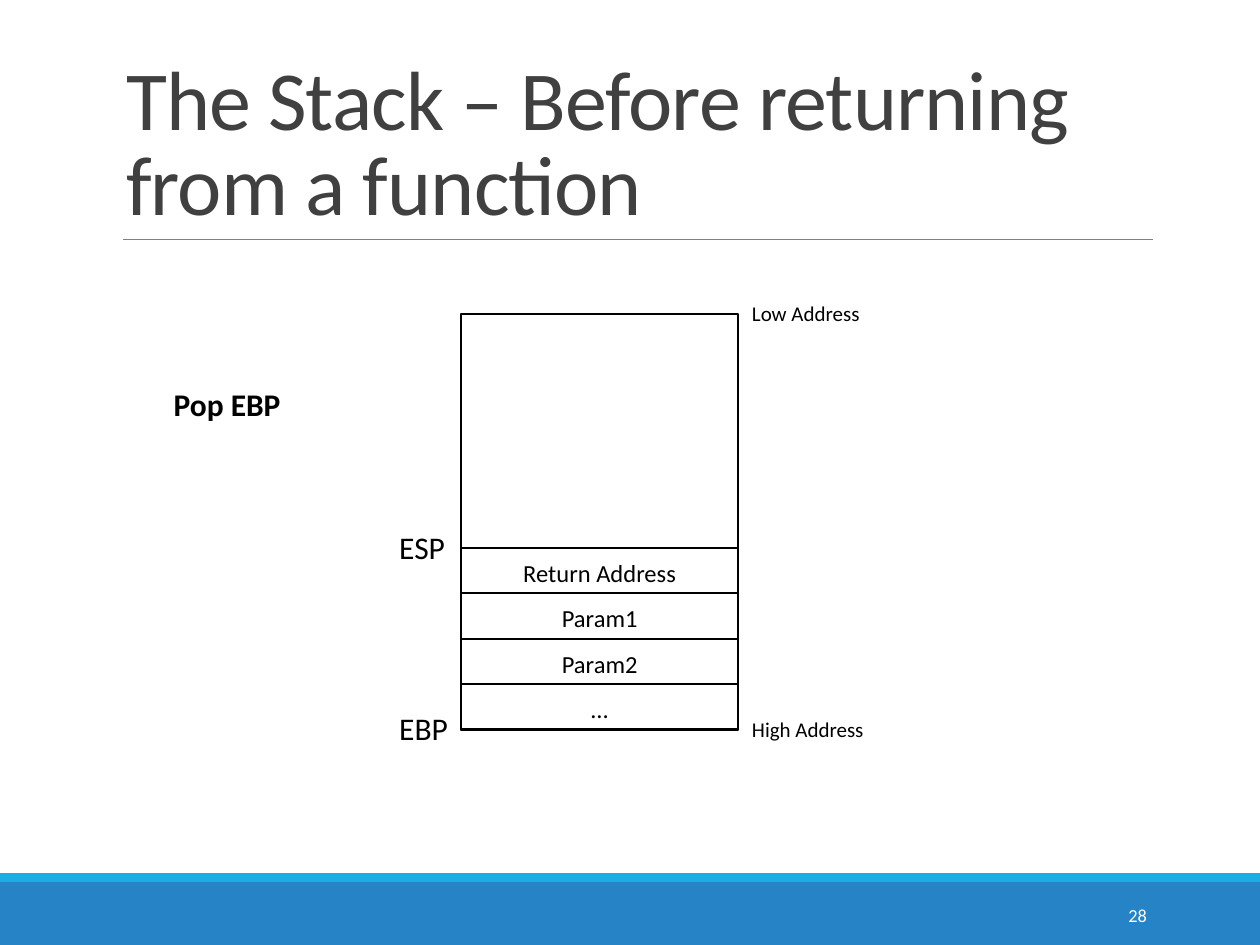
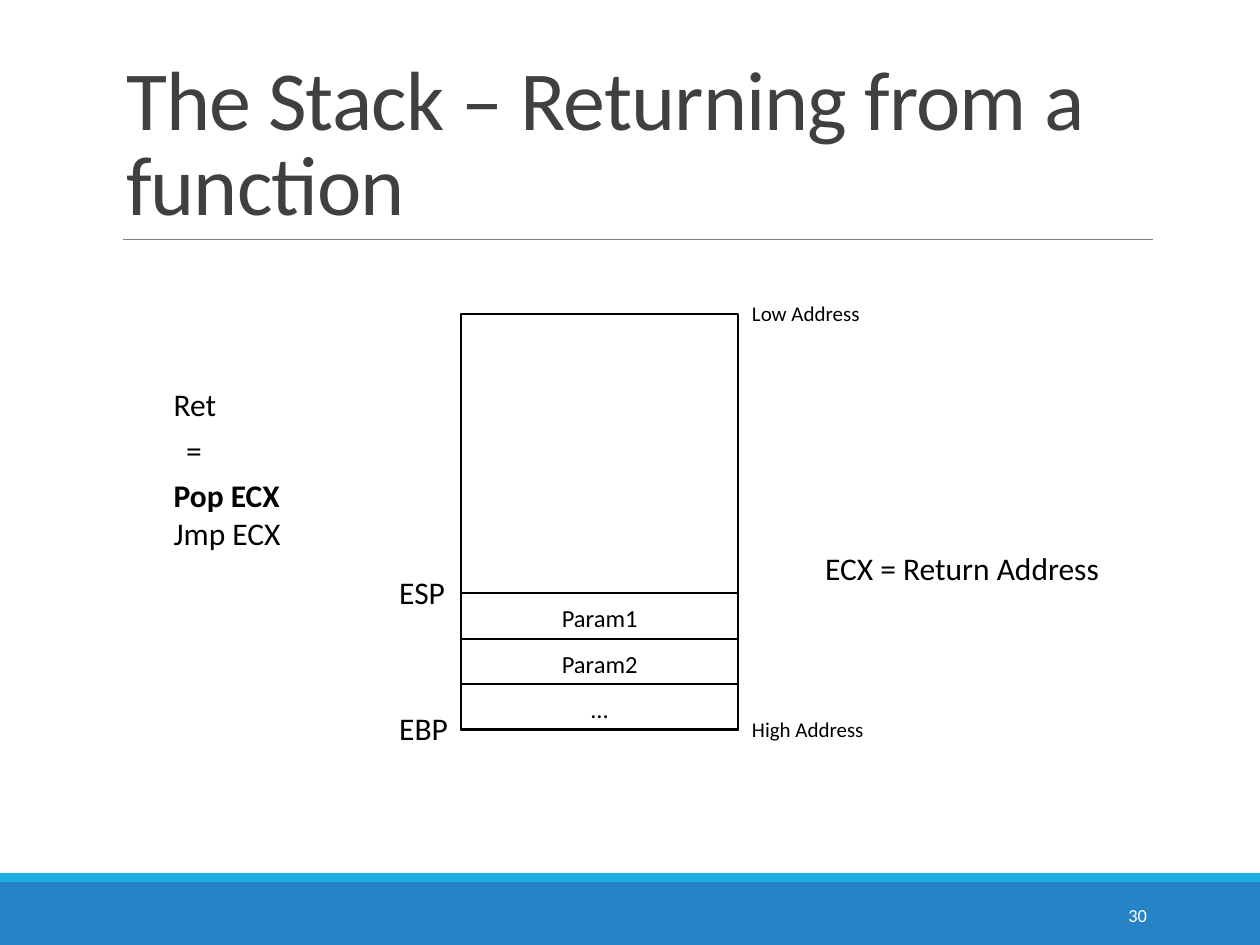
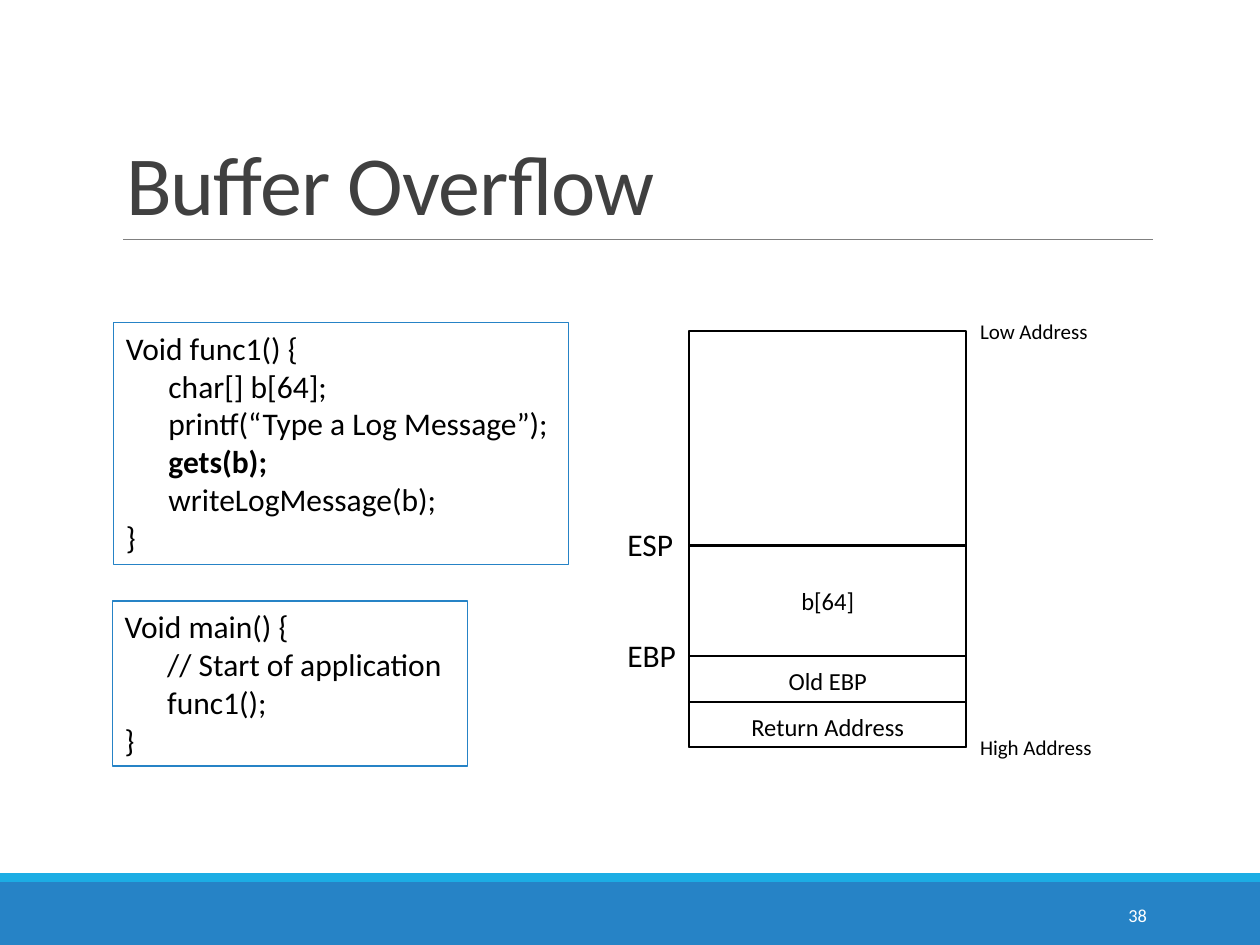
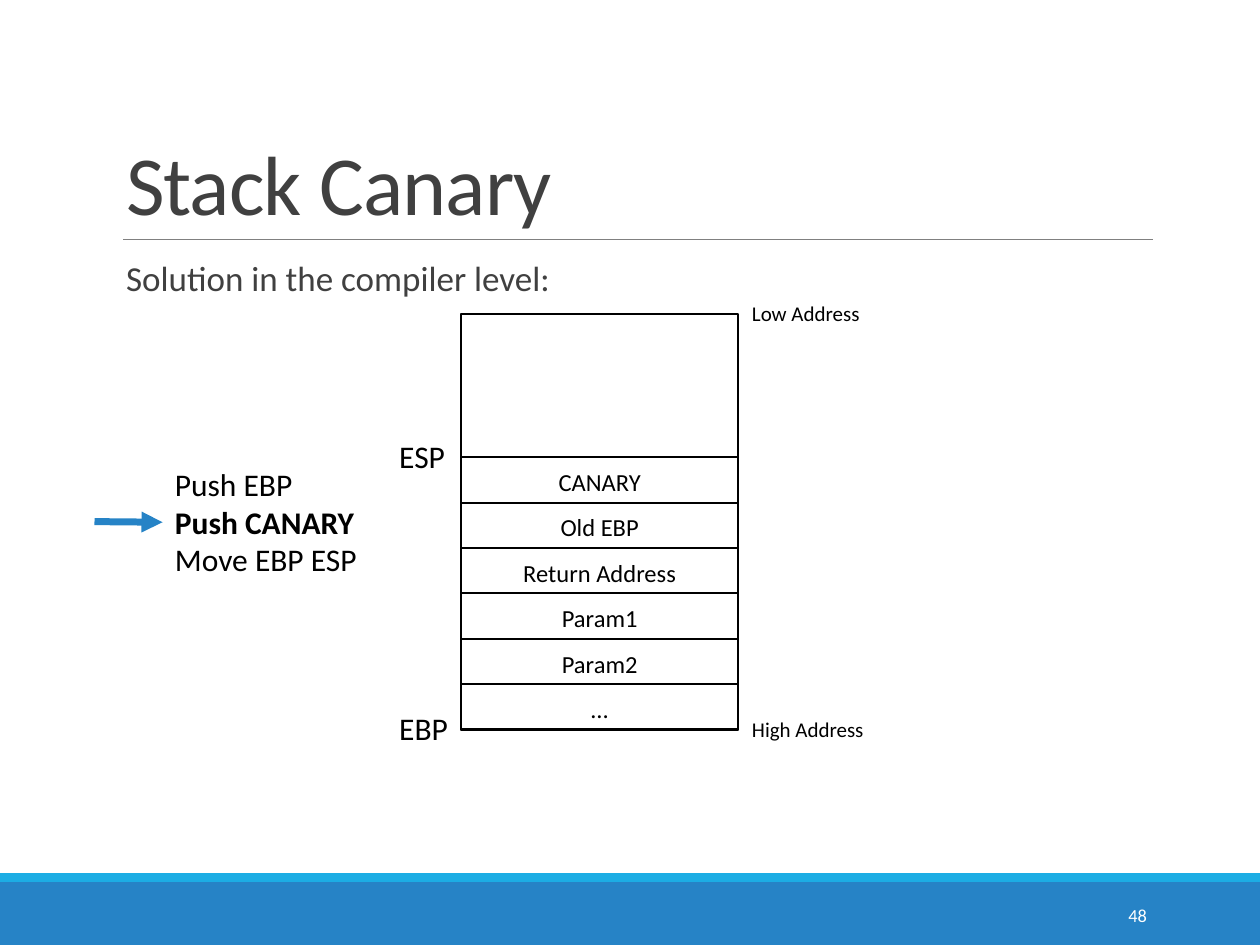
import lxml.etree
import pptx
import pptx.dml.color
import pptx.enum.shapes
import pptx.enum.text
import pptx.oxml.ns
import pptx.util

RGB = pptx.dml.color.RGBColor
ALIGN = pptx.enum.text.PP_ALIGN
ANCHOR = pptx.enum.text.MSO_ANCHOR
FIT = pptx.enum.text.MSO_AUTO_SIZE
RECT = pptx.enum.shapes.MSO_SHAPE.RECTANGLE
STRAIGHT = pptx.enum.shapes.MSO_CONNECTOR.STRAIGHT

BLUE = RGB(0x26, 0x83, 0xC6)
CYAN = RGB(0x1C, 0xAD, 0xE4)
GRAY = RGB(0x80, 0x80, 0x80)
DARK = RGB(0x40, 0x40, 0x40)
BLACK = RGB(0, 0, 0)
WHITE = RGB(0xFF, 0xFF, 0xFF)

FONT = "Calibri"
EMU_PER_PX = 9144
SLIDE_W, SLIDE_H = 1000, 750
TITLE_BOX = (90, 31, 825, 159)
BODY_BOX = (90, 202, 825, 440)
STACK_BOX = (366, 249, 220, 330)
ROW_H = 36
REGISTER_W = 59


def px(n):
    return pptx.util.Emu(n * EMU_PER_PX)


def sub(parent, tag, **attrs):
    return lxml.etree.SubElement(parent, pptx.oxml.ns.qn(tag), attrs)


def place(sp, box):
    sp.left, sp.top, sp.width, sp.height = map(px, box)


def add_run(p, text, size, color=BLACK, bold=False):
    r = p.add_run()
    r.text = text
    r.font.name = FONT
    r.font.size = pptx.util.Pt(size)
    r.font.bold = bold
    r.font.color.rgb = color
    return r


def write_lines(tf, lines, size, bold_line=None, color=BLACK, align=ALIGN.LEFT):
    for i, line in enumerate(lines):
        p = tf.add_paragraph() if i else tf.paragraphs[0]
        p.alignment = align
        add_run(p, line, size, color, line == bold_line)


def fit_text(tf):
    tf.word_wrap = False
    tf.auto_size = FIT.SHAPE_TO_FIT_TEXT


def add_label(s, box, lines, size=18, bold_line=None):
    sp = s.shapes.add_textbox(*map(px, box))
    fit_text(sp.text_frame)
    write_lines(sp.text_frame, lines, size, bold_line)
    return sp


def add_rect(s, box, fill=None, line=None, width=1.25):
    sp = s.shapes.add_shape(RECT, *map(px, box))
    sp.shadow.inherit = False
    if fill is None:
        sp.fill.background()
    else:
        sp.fill.solid()
        sp.fill.fore_color.rgb = fill
    if line is None:
        sp.line.fill.background()
    else:
        sp.line.color.rgb = line
        sp.line.width = pptx.util.Pt(width)
    return sp


def add_line(s, start, end, color, width):
    c = s.shapes.add_connector(STRAIGHT, *map(px, start + end))
    c.line.color.rgb = color
    c.line.width = pptx.util.Pt(width)
    sub(c._element.spPr, "a:effectLst")
    return c


def add_title(s, box, text):
    sp = s.shapes.title
    place(sp, box)
    tf = sp.text_frame
    tf.word_wrap = True
    tf.auto_size = FIT.NONE
    tf.vertical_anchor = ANCHOR.BOTTOM
    p = tf.paragraphs[0]
    p.alignment = ALIGN.LEFT
    p.line_spacing = 0.85
    r = add_run(p, text, 48, DARK)
    r.font._element.set("spc", "-50")


def add_body(s, box, text):
    sp = s.placeholders[1]
    place(sp, box)
    tf = sp.text_frame
    tf.auto_size = FIT.NONE
    tf.margin_left = tf.margin_right = 0
    p = tf.paragraphs[0]
    pPr = p._p.get_or_add_pPr()
    pPr.set("marL", str(px(10)))
    pPr.set("indent", str(-px(10)))
    sub(sub(pPr, "a:buClr"), "a:srgbClr", val=str(CYAN))
    sub(pPr, "a:buChar", char=" ")
    p.line_spacing = 0.9
    p.space_before = pptx.util.Pt(0)
    p.space_after = pptx.util.Pt(2)
    add_run(p, text, 20, DARK)


def add_footer(s, number):
    add_rect(s, (0, 700, SLIDE_W, 50), BLUE)
    add_rect(s, (0, 693, SLIDE_W, 7), CYAN)
    sp = s.shapes.add_textbox(*map(px, (812, 706, 108, 40)))
    tf = sp.text_frame
    tf.word_wrap = True
    tf.vertical_anchor = ANCHOR.MIDDLE
    write_lines(tf, [str(number)], 10.5, color=WHITE, align=ALIGN.RIGHT)


def add_slide(prs, title, number, body=None):
    s = prs.slides.add_slide(prs.slide_layouts[1 if body else 5])
    add_footer(s, number)
    add_line(s, (98, 190), (915, 190), GRAY, 0.5)
    add_title(s, TITLE_BOX, title)
    if body:
        add_body(s, BODY_BOX, body)
    return s


def add_stack(s, box, rows, ebp_row=None):
    x, y, w, h = box
    add_rect(s, box, line=BLACK)
    for name, end in (("Low Address", y), ("High Address", y + h)):
        add_label(s, (x + w + 1, end - 15, 110, 30), [name], 12)
    top = y + h
    edges = {None: top}
    for name, height in reversed(rows):
        top -= height
        edges[name] = top
        sp = add_rect(s, (x, top, w, height), line=BLACK)
        tf = sp.text_frame
        tf.vertical_anchor = ANCHOR.BOTTOM if height == ROW_H else ANCHOR.MIDDLE
        write_lines(tf, [name], 14, align=ALIGN.CENTER)
    for name, edge in (("ESP", top), ("EBP", edges[ebp_row])):
        add_label(s, (x - REGISTER_W, edge - 21, REGISTER_W, 40), [name])


def add_code(s, box, lines, bold_line=None):
    sp = add_rect(s, box, line=BLUE, width=0.75)
    tf = sp.text_frame
    fit_text(tf)
    tf.vertical_anchor = ANCHOR.TOP
    write_lines(tf, lines, 18, bold_line)


def even_rows(*names):
    return [(name, ROW_H) for name in names]


def before_return_slide(prs):
    s = add_slide(prs, "The Stack – Before returning from a function", 28)
    add_stack(s, STACK_BOX, even_rows("Return Address", "Param1", "Param2", "…"))
    add_label(s, (128, 301, 106, 40), ["Pop EBP"], bold_line="Pop EBP")


def return_slide(prs):
    s = add_slide(prs, "The Stack – Returning from a function", 30)
    add_stack(s, STACK_BOX, even_rows("Param1", "Param2", "…"))
    add_label(s, (128, 301, 54, 40), ["Ret"])
    add_label(s, (138, 337, 33, 40), ["="])
    add_label(s, (128, 373, 106, 71), ["Pop ECX", "Jmp ECX"], bold_line="Pop ECX")
    add_label(s, (645, 431, 240, 40), ["ECX = Return Address"])


def overflow_slide(prs):
    s = add_slide(prs, "Buffer Overflow", 38)
    add_code(s, (90, 256, 361, 192), [
        "Void func1() {",
        "      char[] b[64];",
        "      printf(“Type a Log Message”);",
        "      gets(b);",
        "      writeLogMessage(b);",
        "}",
    ], bold_line="      gets(b);")
    add_code(s, (89, 477, 282, 131), [
        "Void main() {",
        "      // Start of application",
        "      func1();",
        "}",
    ])
    rows = [("b[64]", 88)] + even_rows("Old EBP", "Return Address")
    add_stack(s, (547, 263, 220, 330), rows, ebp_row="Old EBP")


def canary_slide(prs):
    s = add_slide(prs, "Stack Canary", 48, "Solution in the compiler level:")
    add_stack(s, STACK_BOX, even_rows(
        "CANARY", "Old EBP", "Return Address", "Param1", "Param2", "…"))
    steps = add_label(s, (129, 364, 166, 101),
                      ["Push EBP", "Push CANARY", "Move EBP ESP"],
                      bold_line="Push CANARY")
    arrow = add_line(s, (75, 414), (130, 414), BLUE, 4)
    arrow.end_connect(steps, 1)
    sub(arrow.line._get_or_add_ln(), "a:tailEnd", type="triangle")


def main():
    prs = pptx.Presentation()
    prs.slide_width, prs.slide_height = px(SLIDE_W), px(SLIDE_H)
    before_return_slide(prs)
    return_slide(prs)
    overflow_slide(prs)
    canary_slide(prs)
    prs.save("out.pptx")


if __name__ == "__main__":
    main()
